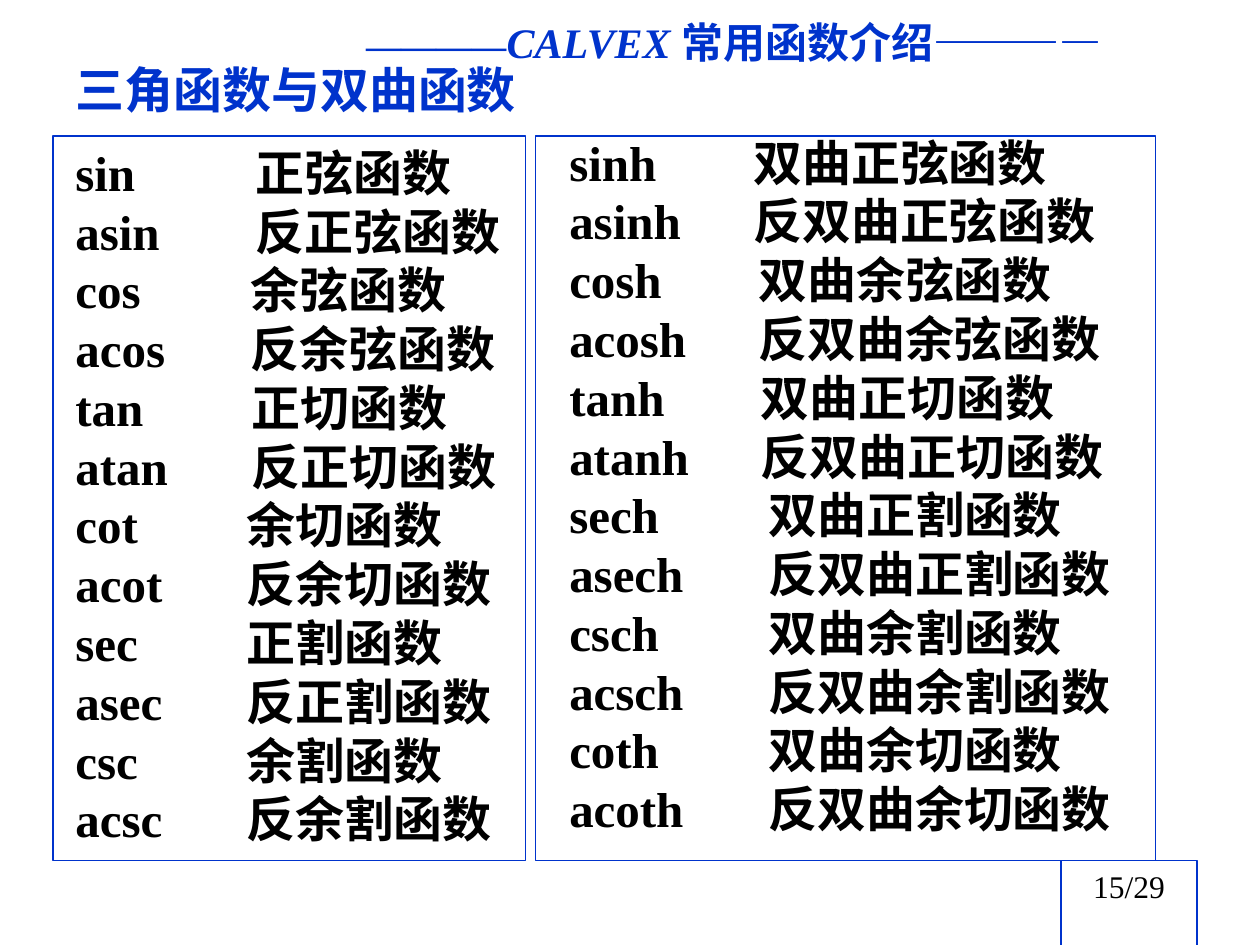
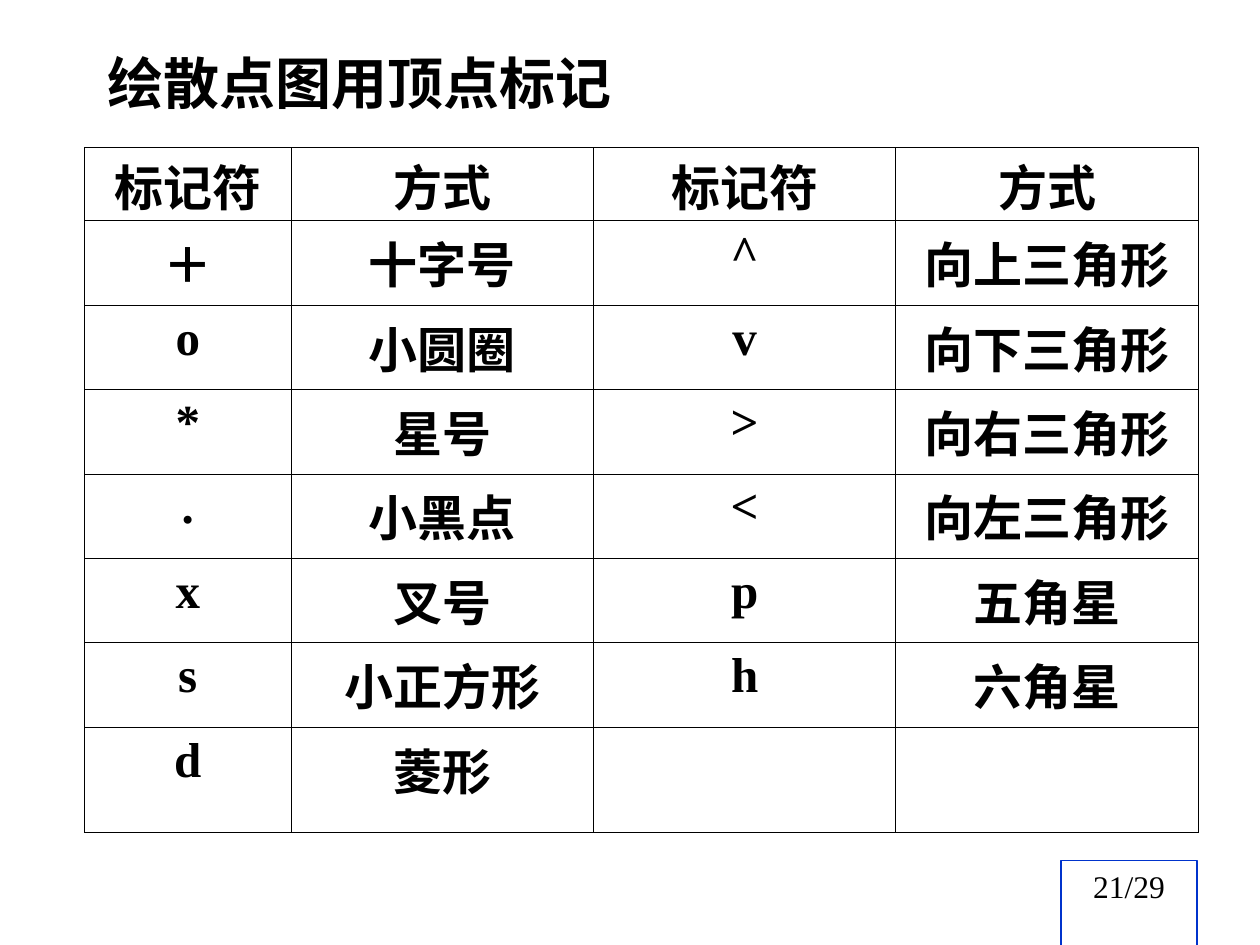
from dataclasses import dataclass

from lxml.etree import SubElement
from pptx import Presentation
from pptx.dml.color import RGBColor
from pptx.enum.shapes import MSO_SHAPE as Shape
from pptx.enum.text import MSO_ANCHOR as Anchor, PP_ALIGN as Align
from pptx.oxml.ns import qn
from pptx.util import Inches, Pt

BLUE = "0033CC"
BLACK = "000000"
LATIN_FONT = "Times New Roman"
CHINESE_FONT = "Noto Sans CJK SC"
PAGE_COUNT = 29
TITLE_ONLY = 5


@dataclass(frozen=True)
class Box:
    left: float
    top: float
    width: float
    height: float

    def lengths(self) -> tuple:
        return tuple(Inches(side) for side in (self.left, self.top, self.width, self.height))


@dataclass(frozen=True)
class FunctionPair:
    name: str
    meaning: str
    tab: float

    def lines(self) -> list[str]:
        return [f"{self.name}\t{self.meaning}", f"a{self.name}\t反{self.meaning}"]


@dataclass(frozen=True)
class FunctionPanel:
    frame: Box
    text: Box
    pairs: list[FunctionPair]


PANELS = [
    FunctionPanel(Box(0.42, 1.08, 3.75, 5.75), Box(0.5, 1.08, 3.58, 5.71), [
        FunctionPair("sin", "正弦函数", 1.43),
        FunctionPair("cos", "余弦函数", 1.39),
        FunctionPair("tan", "正切函数", 1.4),
        FunctionPair("cot", "余切函数", 1.36),
        FunctionPair("sec", "正割函数", 1.36),
        FunctionPair("csc", "余割函数", 1.36),
    ]),
    FunctionPanel(Box(4.25, 1.08, 4.92, 5.75), Box(4.42, 1, 4.67, 5.71), [
        FunctionPair("sinh", "双曲正弦函数", 1.46),
        FunctionPair("cosh", "双曲余弦函数", 1.5),
        FunctionPair("tanh", "双曲正切函数", 1.52),
        FunctionPair("sech", "双曲正割函数", 1.58),
        FunctionPair("csch", "双曲余割函数", 1.58),
        FunctionPair("coth", "双曲余切函数", 1.58),
    ]),
]

MARKER_ROWS = [
    ("标记符", "方式", "标记符", "方式"),
    ("＋", "十字号", "^", "向上三角形"),
    ("o", "小圆圈", "v", "向下三角形"),
    ("*", "星号", ">", "向右三角形"),
    (".", "小黑点", "<", "向左三角形"),
    ("x", "叉号", "p", "五角星"),
    ("s", "小正方形", "h", "六角星"),
    ("d", "菱形", "", ""),
]
MARKER_COLUMN_WIDTHS = [1.64] + [2.4] * 3
MARKER_ROW_HEIGHTS = [0.58] + [0.67] * 6 + [0.84]
MARKER_TOP_MARGINS = [0.02] + [0.05] * 7


def color(value: str) -> RGBColor:
    return RGBColor.from_string(value)


def add_run(paragraph, text: str, *, size: float = 28, fill: str = BLACK,
            bold: bool = True, italic: bool = False, latin: str = LATIN_FONT) -> None:
    run = paragraph.add_run()
    run.text = text
    font = run.font
    font.size, font.bold, font.italic, font.name = Pt(size), bold, italic, latin
    font.color.rgb = color(fill)
    SubElement(run._r.get_or_add_rPr(), qn("a:ea"), typeface=CHINESE_FONT)


def add_tab_stop(paragraph, position: float) -> None:
    tabs = SubElement(paragraph._p.get_or_add_pPr(), qn("a:tabLst"))
    SubElement(tabs, qn("a:tab"), pos=str(Inches(position)), algn="l")


def add_text_box(slide, box: Box):
    frame = slide.shapes.add_textbox(*box.lengths()).text_frame
    frame.word_wrap = True
    return frame


def add_frame(slide, box: Box):
    shape = slide.shapes.add_shape(Shape.RECTANGLE, *box.lengths())
    shape.shadow.inherit = False
    shape.fill.background()
    shape.line.color.rgb = color(BLUE)
    shape.line.width = Pt(0.75)
    return shape


def add_slide(presentation, page: int, title: str, box: Box, **text_format):
    slide = presentation.slides.add_slide(presentation.slide_layouts[TITLE_ONLY])
    placeholder = slide.shapes.title
    placeholder.left, placeholder.top, placeholder.width, placeholder.height = box.lengths()
    frame = placeholder.text_frame
    frame.vertical_anchor = Anchor.MIDDLE
    frame.paragraphs[0].alignment = Align.LEFT
    add_run(frame.paragraphs[0], title, **text_format)

    number = add_frame(slide, Box(8.42, 6.83, 1.08, 0.7)).text_frame
    number.vertical_anchor = Anchor.TOP
    number.paragraphs[0].alignment = Align.CENTER
    add_run(number.paragraphs[0], f"{page}/{PAGE_COUNT}", size=18, bold=False)
    return slide


def add_function_panel(slide, panel: FunctionPanel) -> None:
    add_frame(slide, panel.frame)
    frame = add_text_box(slide, panel.text)
    entries = [(line, pair.tab) for pair in panel.pairs for line in pair.lines()]
    for index, (line, tab) in enumerate(entries):
        paragraph = frame.add_paragraph() if index else frame.paragraphs[0]
        paragraph.line_spacing = Pt(33.6)
        add_tab_stop(paragraph, tab)
        add_run(paragraph, line)


def add_cell_borders(cell) -> None:
    properties = cell._tc.get_or_add_tcPr()
    for position, side in enumerate(("lnL", "lnR", "lnT", "lnB")):
        line = SubElement(properties, qn(f"a:{side}"), w=str(Pt(0.45)))
        fill = SubElement(line, qn("a:solidFill"))
        SubElement(fill, qn("a:srgbClr"), val=BLACK)
        properties.insert(position, line)


def add_marker_table(slide, box: Box) -> None:
    table = slide.shapes.add_table(
        len(MARKER_ROWS), len(MARKER_COLUMN_WIDTHS), *box.lengths()).table
    table.first_row = table.horz_banding = False
    for column, width in zip(table.columns, MARKER_COLUMN_WIDTHS):
        column.width = Inches(width)
    for row, height, margin, texts in zip(
            table.rows, MARKER_ROW_HEIGHTS, MARKER_TOP_MARGINS, MARKER_ROWS):
        row.height = Inches(height)
        for cell, text in zip(row.cells, texts):
            cell.fill.background()
            add_cell_borders(cell)
            cell.margin_top, cell.margin_bottom = Inches(margin), 0
            if text:
                paragraph = cell.text_frame.paragraphs[0]
                paragraph.alignment = Align.CENTER
                add_run(paragraph, text)


def build_functions_slide(presentation) -> None:
    slide = add_slide(presentation, 15, "三角函数与双曲函数",
                      Box(0.5, 0.42, 5.5, 0.57), fill=BLUE)
    for panel in PANELS:
        add_function_panel(slide, panel)
    header = add_text_box(slide, Box(2.81, 0.08, 6.36, 0.5)).paragraphs[0]
    add_run(header, "————", size=20, fill=BLUE, italic=True)
    add_run(header, "CALVEX ", size=24, fill=BLUE, italic=True)
    add_run(header, "常用函数介绍————", size=24, fill=BLUE)


def build_markers_slide(presentation) -> None:
    slide = add_slide(presentation, 21, "绘散点图用顶点标记",
                      Box(0.75, 0.33, 5.08, 0.64), size=32, latin=CHINESE_FONT)
    add_marker_table(slide, Box(0.67, 1.17, 8.83, 5.42))


def main() -> None:
    presentation = Presentation()
    presentation.slide_width, presentation.slide_height = Inches(10), Inches(7.5)
    build_functions_slide(presentation)
    build_markers_slide(presentation)
    presentation.save("out.pptx")


if __name__ == "__main__":
    main()
